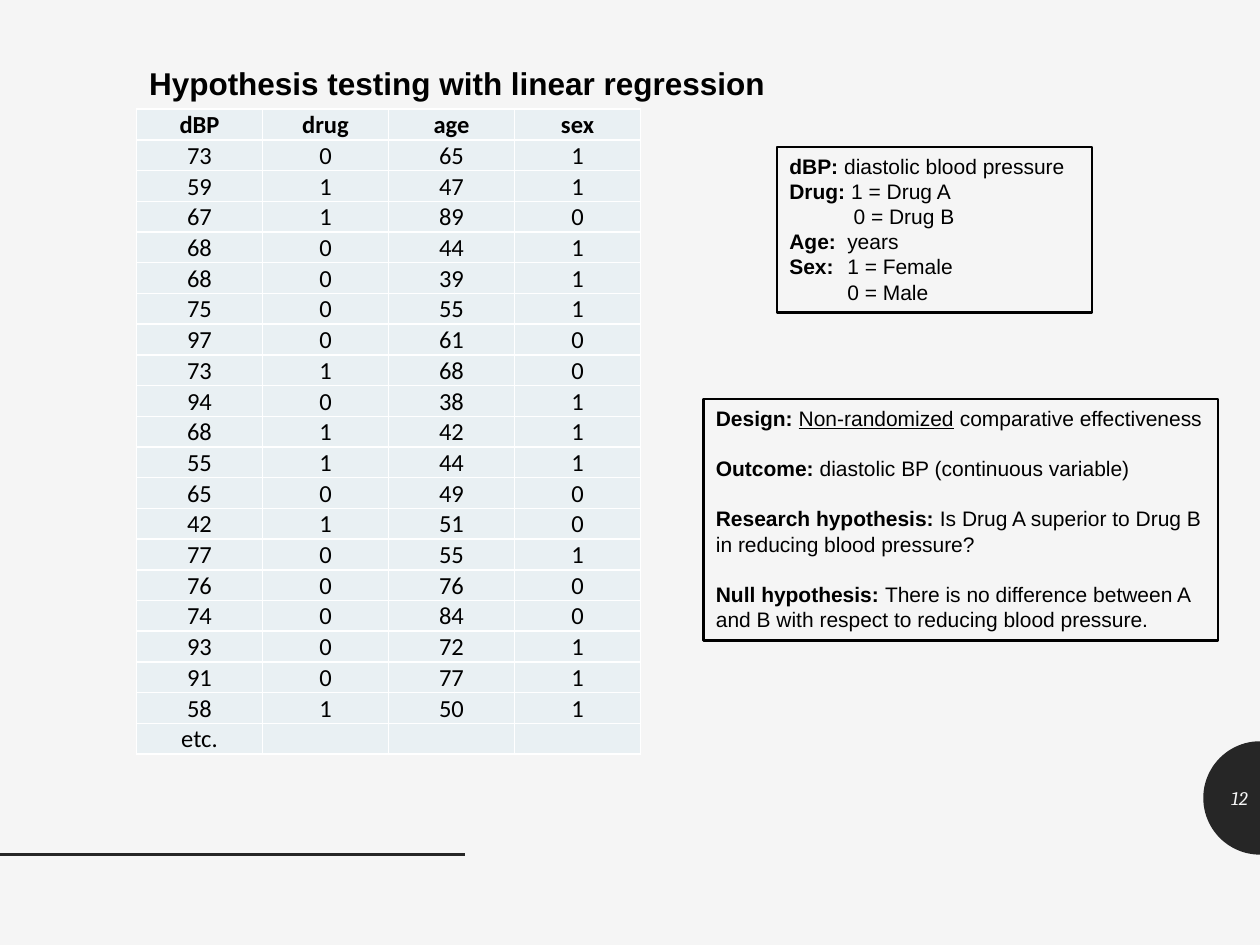
import math
from dataclasses import dataclass

import pptx
import pptx.dml.color
import pptx.enum.shapes
import pptx.enum.text
import pptx.oxml
import pptx.oxml.ns
import pptx.util
from lxml import etree

ALIGN = pptx.enum.text.PP_ALIGN
ANCHOR = pptx.enum.text.MSO_ANCHOR
SHAPES = pptx.enum.shapes


@dataclass(frozen=True)
class Theme:
    page: str = "F5F5F5"
    dark: str = "262626"
    ink: str = "000000"
    cell: str = "E9F0F3"
    rule: str = "FFFFFF"
    body_font: str = "Arial"
    table_font: str = "Calibri"
    number_font: str = "Cambria"
    title_size: float = 18
    table_size: float = 14
    body_size: float = 12
    body_leading: float = 14.4
    number_size: float = 11


THEME = Theme()
SLIDE_W, SLIDE_H = pptx.util.Inches(10), pptx.util.Inches(7.5)
UNIT = SLIDE_W // 120  # the slide is a grid of 120 columns by 90 rows

PATIENTS = [
    (73, 0, 65, 1), (59, 1, 47, 1), (67, 1, 89, 0), (68, 0, 44, 1), (68, 0, 39, 1),
    (75, 0, 55, 1), (97, 0, 61, 0), (73, 1, 68, 0), (94, 0, 38, 1), (68, 1, 42, 1),
    (55, 1, 44, 1), (65, 0, 49, 0), (42, 1, 51, 0), (77, 0, 55, 1), (76, 0, 76, 0),
    (74, 0, 84, 0), (93, 0, 72, 1), (91, 0, 77, 1), (58, 1, 50, 1),
]
TABLE_ROWS = [("dBP", "drug", "age", "sex"), *PATIENTS, ("etc.", "", "", "")]

# Each line is a list of (text, format) runs, then the paragraph format
BOLD, UNDERLINE = {"bold": True}, {"underline": True}
CODEBOOK = [
    ([("dBP:", BOLD), (" diastolic blood pressure", {})], {}),
    ([("Drug:", BOLD), (" 1 = Drug A", {})], {}),
    ([("0 = Drug B", {})], {"indent": 0.51}),
    ([("Age:", BOLD), ("\tyears", {})], {"tab": 0.46}),
    ([("Sex:", BOLD), ("\t1 = Female", {})], {"tab": 0.46}),
    ([("0 = Male", {})], {"indent": 0.46}),
]
STUDY = [
    ([("Design: ", BOLD), ("Non-randomized", UNDERLINE),
      (" comparative effectiveness", {})], {}),
    ([("Outcome: ", BOLD), ("diastolic BP (continuous variable)", {})], {}),
    ([("Research hypothesis: ", BOLD),
      ("Is Drug A superior to Drug B in reducing blood pressure?", {})], {}),
    ([("Null hypothesis: ", BOLD),
      ("There is no difference between A and B with respect to "
       "reducing blood pressure.", {})], {}),
]


def grid(*cells):
    return [round(cell * UNIT) for cell in cells]


def rgb(value):
    return pptx.dml.color.RGBColor.from_string(value)


def add_xml(parent, tag, **attributes):
    return etree.SubElement(parent, pptx.oxml.ns.qn(tag), **attributes)


def write(paragraph, text, *, size, font=THEME.body_font, color=THEME.ink,
          bold=False, italic=False, underline=False, align=ALIGN.LEFT):
    """Add one formatted run; empty text only sets the height of the line."""
    paragraph.alignment = align
    if not text:
        add_xml(paragraph._p, "a:endParaRPr", sz=str(size * 100))
        return
    run = paragraph.add_run()
    run.text = text
    style = run.font
    style.size, style.name, style.color.rgb = pptx.util.Pt(size), font, rgb(color)
    style.bold, style.italic, style.underline = bold, italic, underline


def place_title(slide, box):
    title = slide.shapes.title
    title.left, title.top, title.width, title.height = box
    frame = title.text_frame
    frame.word_wrap, frame.vertical_anchor = True, ANCHOR.TOP
    frame.auto_size = pptx.enum.text.MSO_AUTO_SIZE.NONE
    write(frame.paragraphs[0], "Hypothesis testing with linear regression",
          size=THEME.title_size, bold=True)


def add_borders(cell):
    properties = cell._tc.get_or_add_tcPr()
    for position, side in enumerate(("a:lnL", "a:lnR", "a:lnT", "a:lnB")):
        line = etree.Element(pptx.oxml.ns.qn(side), w=str(pptx.util.Pt(1)))
        add_xml(add_xml(line, "a:solidFill"), "a:srgbClr", val=THEME.rule)
        properties.insert(position, line)


def place_patients(slide, box):
    row_count, column_count = len(TABLE_ROWS), len(TABLE_ROWS[0])
    patients = slide.shapes.add_table(row_count, column_count, *box).table
    patients.horz_banding = False
    for row, values in enumerate(TABLE_ROWS):
        for column, value in enumerate(values):
            cell = patients.cell(row, column)
            cell.fill.solid()
            cell.fill.fore_color.rgb = rgb(THEME.cell)
            cell.margin_left = cell.margin_right = cell.margin_top = pptx.util.Inches(0.01)
            cell.margin_bottom = 0
            cell.vertical_anchor = ANCHOR.BOTTOM
            add_borders(cell)
            write(cell.text_frame.paragraphs[0], str(value), size=THEME.table_size,
                  font=THEME.table_font, bold=row == 0, align=ALIGN.CENTER)


def place_note(slide, box, lines, gap=0):
    note = slide.shapes.add_shape(SHAPES.MSO_SHAPE.RECTANGLE, *box)
    note.shadow.inherit = False
    note.fill.background()
    note.line.color.rgb, note.line.width = rgb(THEME.ink), pptx.util.Pt(1.5)
    frame = note.text_frame
    frame.word_wrap, frame.vertical_anchor = True, ANCHOR.TOP
    for number, (runs, layout) in enumerate(lines):
        paragraph = frame.add_paragraph() if number else frame.paragraphs[0]
        paragraph.line_spacing = pptx.util.Pt(THEME.body_leading)
        paragraph.space_before = pptx.util.Pt(gap if number else 0)
        properties = paragraph._p.get_or_add_pPr()
        if "indent" in layout:
            properties.set("marL", str(pptx.util.Inches(layout["indent"])))
        if "tab" in layout:
            add_xml(add_xml(properties, "a:tabLst"), "a:tab",
                    pos=str(pptx.util.Inches(layout["tab"])), algn="l")
        for text, style in runs:
            write(paragraph, text, size=THEME.body_size, **style)


def place_page_number(slide, box):
    left, top, radius, height = box
    # Half disc against the right edge
    angles = [math.radians(90 + 180 * step / 48) for step in range(49)]
    points = [(round(left + radius + radius * math.cos(angle)),
               round(top + height / 2 - height / 2 * math.sin(angle))) for angle in angles]
    builder = slide.shapes.build_freeform(*points[0])
    builder.add_line_segments(points[1:], close=True)
    disc = builder.convert_to_shape()
    disc.shadow.inherit = False
    disc.fill.solid()
    disc.fill.fore_color.rgb = rgb(THEME.dark)
    disc.line.fill.background()
    # Number
    label_height = round(height * 0.44)
    label = slide.shapes.add_textbox(left, top + (height - label_height) // 2,
                                     radius, label_height)
    label.text_frame.word_wrap = True
    label.text_frame.vertical_anchor = ANCHOR.MIDDLE
    write(label.text_frame.paragraphs[0], "12", size=THEME.number_size, italic=True,
          font=THEME.number_font, color=THEME.page, align=ALIGN.RIGHT)


def place_footer_rule(slide, box):
    left, top, width, height = box
    rule = slide.shapes.add_connector(SHAPES.MSO_CONNECTOR.STRAIGHT,
                                      left, top, left + width, top + height)
    rule.line.color.rgb, rule.line.width = rgb(THEME.dark), pptx.util.Pt(2)
    add_xml(rule._element.spPr, "a:effectLst")


def main():
    deck = pptx.Presentation()
    deck.slide_width, deck.slide_height = SLIDE_W, SLIDE_H
    slide = deck.slides.add_slide(deck.slide_layouts[5])  # title only
    slide.background.fill.solid()
    slide.background.fill.fore_color.rgb = rgb(THEME.page)

    place_page_number(slide, grid(114.6, 70.6, 5.4, 10.8))
    place_footer_rule(slide, grid(0, 81.4, 44.3, 0))
    place_patients(slide, grid(13, 10.4, 48, 61.4))
    place_title(slide, grid(13, 5.5, 83, 4.8))
    place_note(slide, grid(74, 14, 30, 15.75), CODEBOOK)
    place_note(slide, grid(67, 38, 49, 23), STUDY, gap=THEME.body_leading)
    deck.save("out.pptx")


if __name__ == "__main__":
    main()
